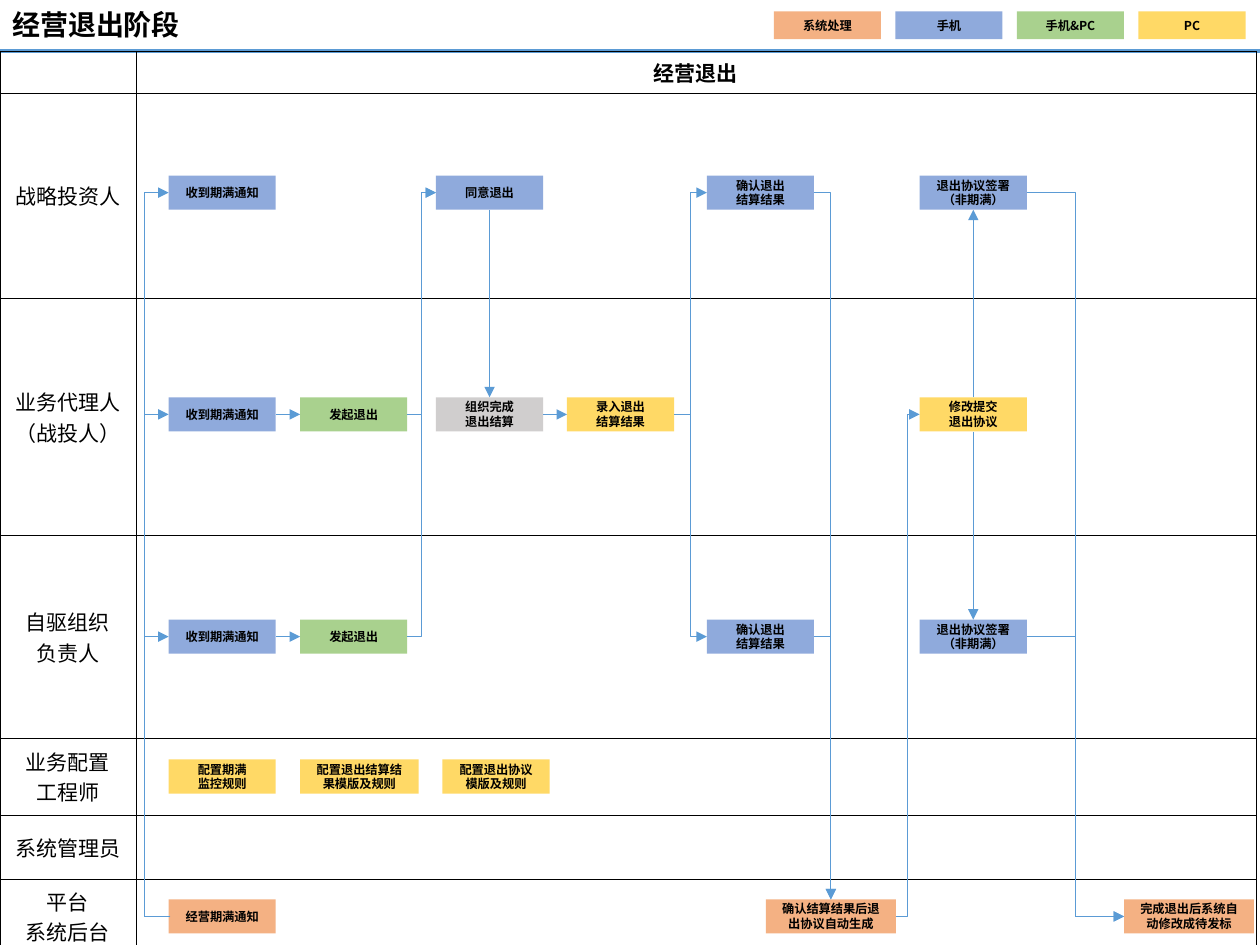
from lxml.etree import SubElement
from pptx import Presentation
from pptx.dml.color import RGBColor
from pptx.enum.shapes import MSO_CONNECTOR as LINK, MSO_SHAPE
from pptx.enum.text import MSO_ANCHOR as ANCHOR, PP_ALIGN as ALIGN
from pptx.oxml.ns import qn
from pptx.util import Cm, Pt

FONT = "Noto Sans CJK SC"
BLACK, BLUE_LINE = "000000", "5B9BD5"
SYSTEM, PHONE, BOTH, PC, OFFLINE = "F4B183", "8FAADC", "A9D18E", "FFD966", "D0CECE"

# Content (lengths in cm)
STAGE = "经营退出阶段"
LEGEND = [("系统处理", SYSTEM), ("手机", PHONE), ("手机&PC", BOTH), ("PC", PC)]
LANES = [  # label lines, stage heading, height
    ([], ["经营退出"], 0.84),
    (["战略投资人"], [], 4.14),
    (["业务代理人", "（战投人）"], [], 4.78),
    (["自驱组织", "负责人"], [], 4.09),
    (["业务配置", "工程师"], [], 1.55),
    (["系统管理员"], [], 1.30),
    (["平台", "系统后台"], [], 1.32),
]
LANE_WIDTHS = (2.74, 22.58)
TABLE_TOP = 1.03

ROW_TOP = {"investor": 3.54, "agent": 8.01, "leader": 12.49, "config": 15.31, "backend": 18.13}
STEP_W, RULE_W, WIDE_W, STEP_H = 2.16, 2.39, 2.62, 0.69
NOTICE, SIGN = ["收到期满通知"], ["退出协议签署", "（非期满）"]
CONFIRM, START = ["确认退出", "结算结果"], ["发起退出"]
STEPS = {  # key: lines, colour, left, row, width
    "notice1": (NOTICE, PHONE, 3.4, "investor", STEP_W),
    "notice2": (NOTICE, PHONE, 3.4, "agent", STEP_W),
    "notice3": (NOTICE, PHONE, 3.4, "leader", STEP_W),
    "start2": (START, BOTH, 6.05, "agent", STEP_W),
    "start3": (START, BOTH, 6.05, "leader", STEP_W),
    "agree": (["同意退出"], PHONE, 8.79, "investor", STEP_W),
    "settle": (["组织完成", "退出结算"], OFFLINE, 8.79, "agent", STEP_W),
    "enter": (["录入退出", "结算结果"], PC, 11.43, "agent", STEP_W),
    "confirm1": (CONFIRM, PHONE, 14.25, "investor", STEP_W),
    "confirm3": (CONFIRM, PHONE, 14.25, "leader", STEP_W),
    "sign1": (SIGN, PHONE, 18.54, "investor", STEP_W),
    "revise": (["修改提交", "退出协议"], PC, 18.54, "agent", STEP_W),
    "sign3": (SIGN, PHONE, 18.54, "leader", STEP_W),
    "rule1": (["配置期满", "监控规则"], PC, 3.4, "config", STEP_W),
    "rule2": (["配置退出结算结果模版及规则"], PC, 6.05, "config", RULE_W),
    "rule3": (["配置退出协议模版及规则"], PC, 8.92, "config", STEP_W),
    "expiry": (["经营期满通知"], SYSTEM, 3.4, "backend", STEP_W),
    "generate": (["确认结算结果后退出协议自动生成"], SYSTEM, 15.44, "backend", WIDE_W),
    "finish": (["完成退出后系统自动修改成待发标"], SYSTEM, 22.66, "backend", WIDE_W),
}
TOP, LEFT, BOTTOM, RIGHT = range(4)
STRAIGHT = [  # from, side, to, side
    ("notice2", RIGHT, "start2", LEFT), ("notice3", RIGHT, "start3", LEFT),
    ("agree", BOTTOM, "settle", TOP), ("settle", RIGHT, "enter", LEFT),
    ("revise", TOP, "sign1", BOTTOM), ("revise", BOTTOM, "sign3", TOP),
]
MIDWAY = [  # right side to left side, bend halfway
    ("start2", "agree"), ("start3", "agree"), ("enter", "confirm1"), ("enter", "confirm3"),
    ("generate", "revise"), ("sign1", "finish"), ("sign3", "finish"),
]
EXPIRY_TARGETS = ["notice1", "notice2", "notice3"]
EXPIRY_BEND, EXPIRY_INSET = 2.91, 0.03
CONFIRMED = ["confirm1", "confirm3"]


def rgb(color):
    return RGBColor.from_string(color)


def write(frame, lines, size, bold, align=ALIGN.CENTER):
    frame.word_wrap = True
    for i, line in enumerate(lines):
        para = frame.paragraphs[0] if i == 0 else frame.add_paragraph()
        para.alignment = align
        run = para.add_run()
        run.text = line
        font = run.font
        font.size, font.bold, font.name = Pt(size), bold, FONT
        font.color.rgb = rgb(BLACK)
        SubElement(run._r.get_or_add_rPr(), qn("a:ea"), typeface=FONT)


def add_box(lines, color, left, top, width, height):
    box = slide.shapes.add_shape(MSO_SHAPE.RECTANGLE, Cm(left), Cm(top), Cm(width), Cm(height))
    box.shadow.inherit = False
    box.fill.solid()
    box.fill.fore_color.rgb = rgb(color)
    box.line.fill.background()
    box.text_frame.vertical_anchor = ANCHOR.MIDDLE
    write(box.text_frame, lines, 7, True)
    return box


def add_grid(left, top, widths, heights, border, weight):
    frame = slide.shapes.add_table(len(heights), len(widths), Cm(left), Cm(top),
                                   Cm(sum(widths)), Cm(sum(heights)))
    grid = frame.table
    grid.first_row = grid.horz_banding = False
    for column, width in zip(grid.columns, widths):
        column.width = Cm(width)
    for row, height in zip(grid.rows, heights):
        row.height = Cm(height)
    for cell in grid.iter_cells():
        cell.vertical_anchor = ANCHOR.MIDDLE
        props = cell._tc.get_or_add_tcPr()
        for edge in ("a:lnL", "a:lnR", "a:lnT", "a:lnB"):
            line = SubElement(props, qn(edge), w=str(Pt(weight)))
            SubElement(SubElement(line, qn("a:solidFill")), qn("a:srgbClr"), val=border)
        cell.fill.background()
    return grid


def add_arrow(kind, start, end, bend=None):
    arrow = slide.shapes.add_connector(kind, *(Cm(v) for v in (*start, *end)))
    arrow.line.color.rgb = rgb(BLUE_LINE)
    arrow.line.width = Pt(0.5)
    SubElement(arrow.line._get_or_add_ln(), qn("a:tailEnd"), type="triangle")
    SubElement(arrow._element.spPr, qn("a:effectLst"))
    if bend is not None:
        guides = arrow._element.spPr.find(qn("a:prstGeom")).get_or_add_avLst()
        ratio = (bend - start[0]) / (end[0] - start[0])
        SubElement(guides, qn("a:gd"), name="adj1", fmla=f"val {round(ratio * 100000)}")
    return arrow


def side(key, where):
    _, _, left, row, width = STEPS[key]
    dx, dy = {TOP: (0.5, 0), LEFT: (0, 0.5), BOTTOM: (0.5, 1), RIGHT: (1, 0.5)}[where]
    return left + dx * width, ROW_TOP[row] + dy * STEP_H


deck = Presentation()
deck.slide_width, deck.slide_height = Cm(25.4), Cm(19.05)
slide = deck.slides.add_slide(deck.slide_layouts[6])

# Outer frame, title and legend
add_grid(-0.05, TABLE_TOP, [25.48], [18.06], BLUE_LINE, 2.25)
title = slide.shapes.add_textbox(Cm(0), Cm(0.03), Cm(5.31), Cm(0.99)).text_frame
title.vertical_anchor = ANCHOR.MIDDLE
write(title, [STAGE], 16, True, ALIGN.LEFT)
title.paragraphs[0].line_spacing = 0.9
for i, (label, color) in enumerate(LEGEND):
    add_box([label], color, 15.6 + i * 2.45, 0.23, STEP_W, 0.56)

# Swimlanes
lanes = add_grid(0, TABLE_TOP, LANE_WIDTHS, [lane[2] for lane in LANES], BLACK, 0.25)
for r, (label, heading, _) in enumerate(LANES):
    for c, lines in enumerate((label, heading)):
        cell = lanes.cell(r, c)
        write(cell.text_frame, lines, 12, c == 1)
        if not lines:
            SubElement(cell.text_frame.paragraphs[0]._p, qn("a:endParaRPr"), sz="1200")

# Steps
boxes = {key: add_box(lines, color, left, ROW_TOP[row], width, STEP_H)
         for key, (lines, color, left, row, width) in STEPS.items()}

# Straight arrows
for source, out, target, into in STRAIGHT:
    arrow = add_arrow(LINK.STRAIGHT, side(source, out), side(target, into))
    arrow.begin_connect(boxes[source], out)
    arrow.end_connect(boxes[target], into)

# Bent arrows
for source, target in MIDWAY:
    add_arrow(LINK.ELBOW, side(source, RIGHT), side(target, LEFT))
for target in EXPIRY_TARGETS:
    x, y = side("expiry", LEFT)
    add_arrow(LINK.ELBOW, (x + EXPIRY_INSET, y), side(target, LEFT), EXPIRY_BEND)
for source in CONFIRMED:
    corner = add_arrow(LINK.ELBOW, side(source, RIGHT), side("generate", TOP))
    corner._element.spPr.find(qn("a:prstGeom")).set("prst", "bentConnector2")

deck.save("out.pptx")
